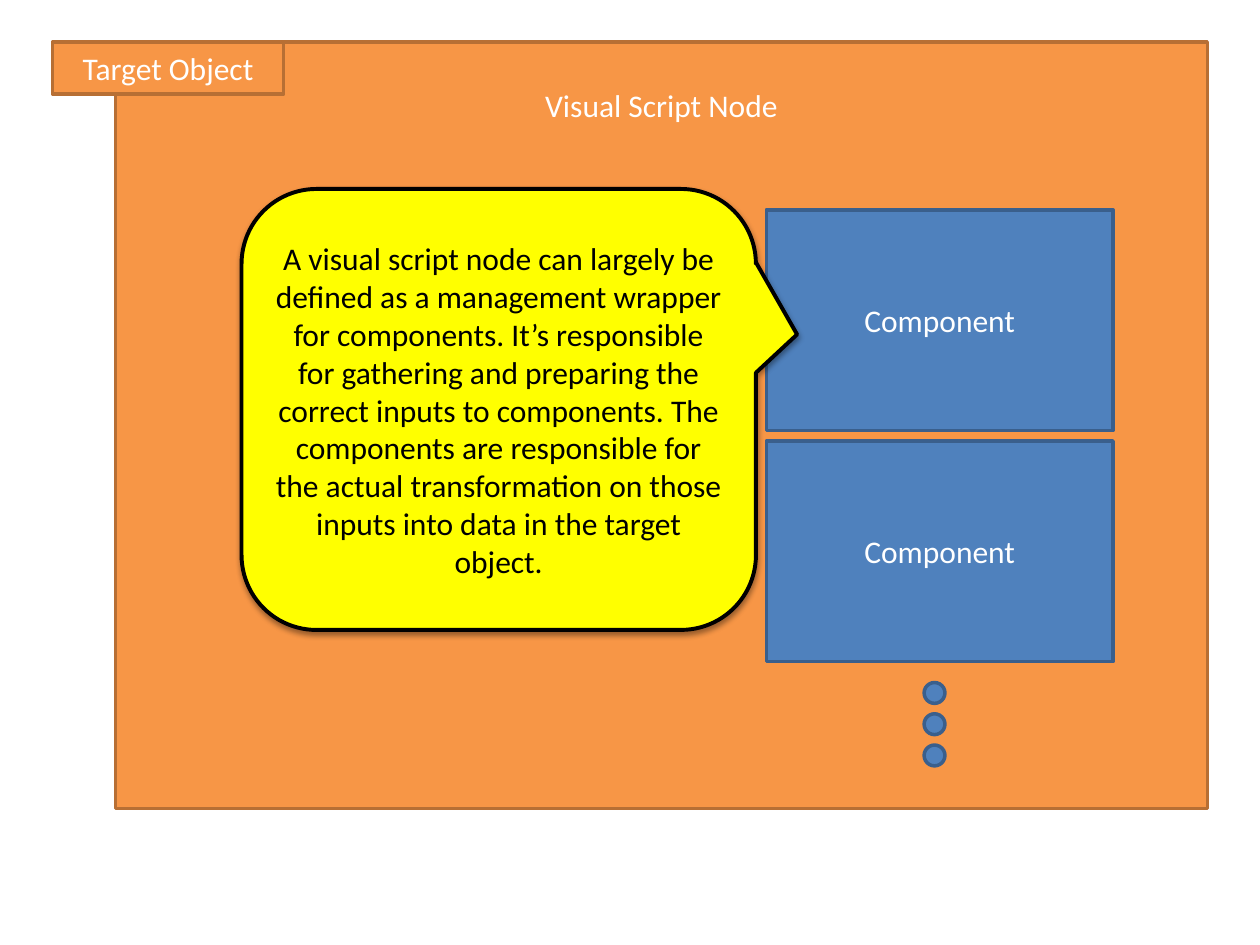
from lxml import etree
from pptx import Presentation
from pptx.dml.color import RGBColor
from pptx.enum import shapes, text
from pptx.oxml import ns
from pptx.util import Cm, Pt

ORANGE = RGBColor(0xF7, 0x96, 0x46)
BROWN = RGBColor(0xB7, 0x6F, 0x34)
BLUE = RGBColor(0x4F, 0x81, 0xBD)
NAVY = RGBColor(0x3A, 0x5F, 0x8C)
YELLOW = RGBColor(0xFF, 0xFF, 0x00)
BLACK = RGBColor(0x00, 0x00, 0x00)
WHITE = RGBColor(0xFF, 0xFF, 0xFF)

NODE = "Visual Script Node"
TARGET = "Target Object"
COMPONENTS = ["Component", "Component"]
DOT_COUNT = 3
EXPLANATION = (
    "A visual script node can largely be defined as a management wrapper "
    "for components. It\u2019s responsible for gathering and preparing the "
    "correct inputs to components. The components are responsible for the "
    "actual transformation on those inputs into data in the target object."
)

KIND = shapes.MSO_SHAPE
ANCHOR = text.MSO_ANCHOR
ORANGE_STYLE = {"fill": ORANGE, "line": BROWN, "width": 2, "font": WHITE}
BLUE_STYLE = {"fill": BLUE, "line": NAVY, "width": 2, "font": WHITE}
NOTE_STYLE = {"fill": YELLOW, "line": BLACK, "width": 2.25, "font": BLACK}

COMPONENT_TOP, COMPONENT_PITCH = 4.23, 4.66
DOT_TOP, DOT_PITCH, DOT_SIZE = 13.76, 0.63, 0.42
CALLOUT_ADJUSTMENTS = [0.58, -0.17, 0.17]
SHADOW = {"blurRad": "40000", "dist": "20000", "dir": "5400000", "rotWithShape": "0"}


def add_block(slide, kind, box, style, wording="", frame_format=None):
    shape = slide.shapes.add_shape(kind, *map(Cm, box))
    shape.shadow.inherit = False
    shape.fill.solid()
    shape.fill.fore_color.rgb = style["fill"]
    shape.line.color.rgb = style["line"]
    shape.line.width = Pt(style["width"])
    if wording:
        frame = shape.text_frame
        settings = {"word_wrap": True, "vertical_anchor": ANCHOR.MIDDLE}
        for name, value in {**settings, **(frame_format or {})}.items():
            setattr(frame, name, value)
        paragraph = frame.paragraphs[0]
        paragraph.alignment = text.PP_ALIGN.CENTER
        run = paragraph.add_run()
        run.text = wording
        for name, value in {"name": "Calibri", "size": Pt(18)}.items():
            setattr(run.font, name, value)
        run.font.color.rgb = style["font"]
    return shape


def add_shadow(shape):
    effects = shape.element.spPr.find(ns.qn("a:effectLst"))
    shadow = etree.SubElement(effects, ns.qn("a:outerShdw"), SHADOW)
    color = etree.SubElement(shadow, ns.qn("a:srgbClr"), val=str(BLACK))
    etree.SubElement(color, ns.qn("a:alpha"), val="38000")


presentation = Presentation()
presentation.slide_width = Cm(25.4)
presentation.slide_height = Cm(19.05)
slide = presentation.slides.add_slide(presentation.slide_layouts[6])

add_block(slide, KIND.RECTANGLE, (2.33, 0.85, 22.01, 15.45), ORANGE_STYLE, NODE,
          {"vertical_anchor": ANCHOR.TOP, "margin_top": Cm(0.88)})
add_block(slide, KIND.RECTANGLE, (1.06, 0.85, 4.66, 1.05), ORANGE_STYLE, TARGET)

for index, component in enumerate(COMPONENTS):
    top = COMPONENT_TOP + index * COMPONENT_PITCH
    add_block(slide, KIND.RECTANGLE, (15.45, top, 6.99, 4.45), BLUE_STYLE, component)

for index in range(DOT_COUNT):
    top = DOT_TOP + index * DOT_PITCH
    add_block(slide, KIND.OVAL, (18.63, top, DOT_SIZE, DOT_SIZE), BLUE_STYLE)

callout = add_block(slide, KIND.ROUNDED_RECTANGULAR_CALLOUT,
                    (4.87, 3.81, 10.37, 8.89), NOTE_STYLE, EXPLANATION,
                    {"margin_left": Cm(0.22), "margin_right": Cm(0.22)})
for index, value in enumerate(CALLOUT_ADJUSTMENTS):
    callout.adjustments[index] = value
add_shadow(callout)

presentation.save("out.pptx")
